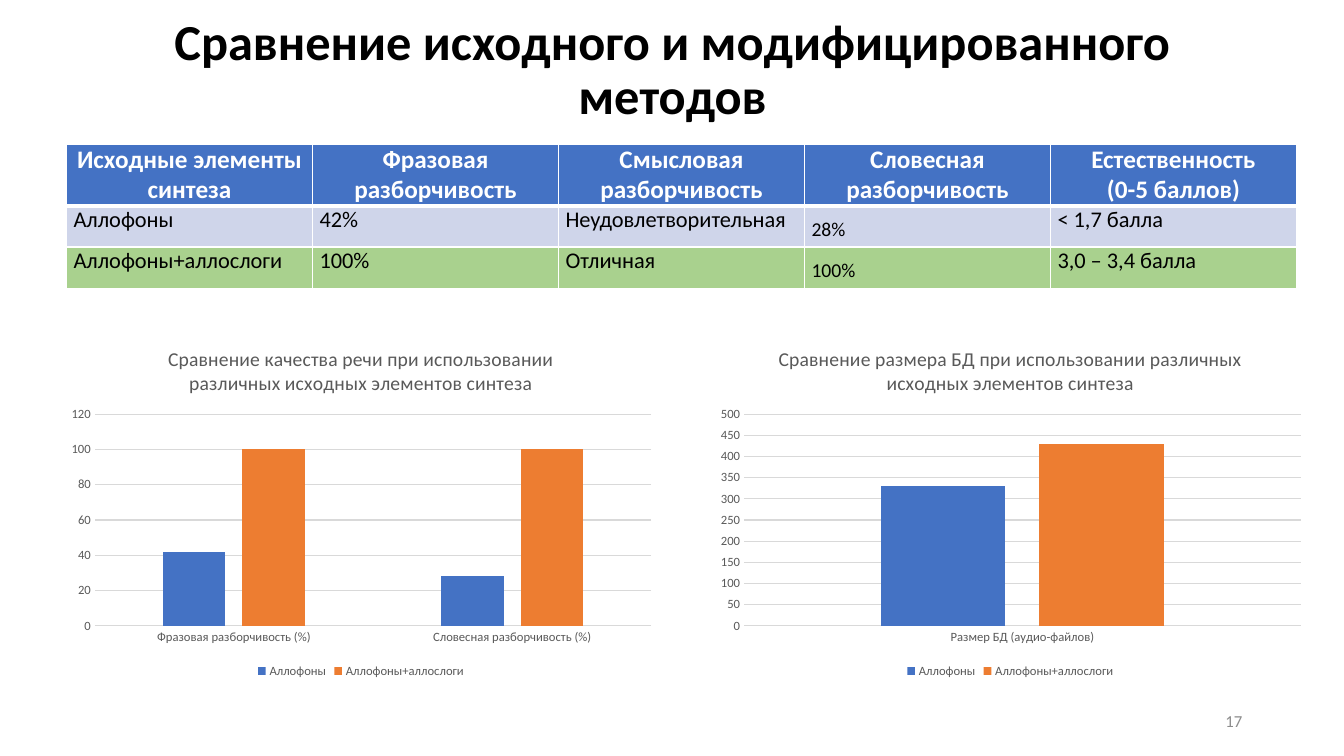
from lxml import etree
from pptx import Presentation, util as u
from pptx.chart.data import CategoryChartData
from pptx.dml.color import RGBColor
from pptx.enum import chart as charts, text
from pptx.oxml import ns

COLORS = {
    "black": "000000",
    "white": "FFFFFF",
    "blue": "4472C4",
    "orange": "ED7D31",
    "pale": "CFD5EA",
    "green": "A9D18E",
    "label": "595959",
    "number": "8C8C8C",
    "grid": "D9D9D9",
}
SERIES_COLORS = ["blue", "orange"]
PLOT_LAYOUT = {"x": 0.06, "y": 0.24, "w": 0.92, "h": 0.6}


def px(length):
    return u.Emu(length * 9144)


def color(name):
    return RGBColor.from_string(COLORS[name])


class SlideBuilder:
    font_name = "Calibri"

    def __init__(self, presentation):
        self.slide = presentation.slides.add_slide(presentation.slide_layouts[5])

    def style(self, font, size, color_name, bold=False):
        font.name = self.font_name
        font.size = u.Pt(size)
        font.bold = bold
        font.color.rgb = color(color_name)

    def line(self, line, color_name):
        line.color.rgb = color(color_name)
        line.width = u.Pt(0.75)

    def place(self, shape, left, top, width, height):
        shape.left, shape.top = px(left), px(top)
        shape.width, shape.height = px(width), px(height)

    def fill_text(self, shape, content, size, color_name, align, bold=False):
        frame = shape.text_frame
        frame.word_wrap = True
        frame.auto_size = text.MSO_AUTO_SIZE.NONE
        frame.vertical_anchor = text.MSO_ANCHOR.MIDDLE
        frame.text = content
        paragraph = frame.paragraphs[0]
        paragraph.alignment = align
        self.style(paragraph.font, size, color_name, bold)
        return paragraph

    def title(self, content, *box):
        shape = self.slide.shapes.title
        self.place(shape, *box)
        paragraph = self.fill_text(shape, content, 36, "black", text.PP_ALIGN.CENTER, True)
        paragraph.line_spacing = 0.9

    def page_number(self, content, *box):
        shape = self.slide.shapes.add_textbox(*map(px, box))
        self.fill_text(shape, content, 12, "number", text.PP_ALIGN.RIGHT)

    def borders(self, cell, bottom):
        properties = cell._tc.get_or_add_tcPr()
        for side, points in (("L", 1), ("R", 1), ("T", 1), ("B", bottom)):
            border = etree.SubElement(properties, ns.qn(f"a:ln{side}"), w=str(u.Pt(points)))
            fill = etree.SubElement(border, ns.qn("a:solidFill"))
            etree.SubElement(fill, ns.qn("a:srgbClr"), val=COLORS["white"])

    def cell(self, cell, content, fill, header, spacious):
        cell.margin_left = cell.margin_right = px(7)
        cell.margin_top = cell.margin_bottom = 0
        self.borders(cell, 3 if header else 1)
        cell.fill.solid()
        cell.fill.fore_color.rgb = color(fill)
        cell.text = content
        for paragraph in cell.text_frame.paragraphs:
            if header:
                paragraph.alignment = text.PP_ALIGN.CENTER
                self.style(paragraph.font, 18, "white", True)
            else:
                paragraph.alignment = text.PP_ALIGN.JUSTIFY
                self.style(paragraph.font, 14 if spacious else 16, "black")
                if spacious:
                    paragraph.line_spacing = 1.5

    def table(self, rows, fills, heights, left, top, column_width):
        columns = len(rows[0])
        table = self.slide.shapes.add_table(
            len(rows), columns, px(left), px(top),
            px(column_width * columns), px(sum(heights))).table
        for column in table.columns:
            column.width = px(column_width)
        for i, (row, fill, height) in enumerate(zip(rows, fills, heights)):
            table.rows[i].height = px(height)
            for j, content in enumerate(row):
                self.cell(table.cell(i, j), content, fill, i == 0, j == 3)

    def plot_layout(self, chart):
        area = chart._chartSpace.chart.plotArea
        for old in area.findall(ns.qn("c:layout")):
            area.remove(old)
        layout = etree.Element(ns.qn("c:layout"))
        area.insert(0, layout)
        manual = etree.SubElement(layout, ns.qn("c:manualLayout"))
        settings = {"layoutTarget": "inner", "xMode": "edge", "yMode": "edge", **PLOT_LAYOUT}
        for name, value in settings.items():
            etree.SubElement(manual, ns.qn(f"c:{name}"), val=str(value))

    def chart(self, title, categories, series, maximum, step, *box):
        data = CategoryChartData()
        data.categories = categories
        for name, values in series.items():
            data.add_series(name, values)
        chart = self.slide.shapes.add_chart(
            charts.XL_CHART_TYPE.COLUMN_CLUSTERED, *map(px, box), data).chart
        self.style(chart.font, 10, "black")

        chart.has_title = True
        frame = chart.chart_title.text_frame
        frame.text = title
        self.style(frame.paragraphs[0].font, 14, "label")
        chart.chart_title.include_in_layout = False

        chart.has_legend = True
        chart.legend.position = charts.XL_LEGEND_POSITION.BOTTOM
        chart.legend.include_in_layout = False
        self.style(chart.legend.font, 9, "label")

        for axis in (chart.category_axis, chart.value_axis):
            axis.major_tick_mark = axis.minor_tick_mark = charts.XL_TICK_MARK.NONE
            self.style(axis.tick_labels.font, 9, "label")
        self.line(chart.category_axis.format.line, "grid")
        values_axis = chart.value_axis
        values_axis.minimum_scale, values_axis.maximum_scale = 0, maximum
        values_axis.major_unit = step
        values_axis.format.line.fill.background()
        self.line(values_axis.major_gridlines.format.line, "grid")

        plot = chart.plots[0]
        plot.vary_by_categories = False
        plot.gap_width, plot.overlap = 219, -27
        for bars, fill in zip(plot.series, SERIES_COLORS):
            bars.format.fill.solid()
            bars.format.fill.fore_color.rgb = color(fill)
        self.plot_layout(chart)


def main():
    presentation = Presentation()
    presentation.slide_width, presentation.slide_height = px(1333), px(750)
    builder = SlideBuilder(presentation)
    builder.title("Сравнение исходного и модифицированного методов", 92, 40, 1150, 61)
    builder.table(
        [
            ["Исходные элементы синтеза", "Фразовая разборчивость", "Смысловая разборчивость",
             "Словесная разборчивость", "Естественность\n(0-5 баллов)"],
            ["Аллофоны", "42%", "Неудовлетворительная", "28%", "< 1,7 балла"],
            ["Аллофоны+аллослоги", "100%", "Отличная", "100%", "3,0 – 3,4 балла"],
        ],
        ["blue", "pale", "green"], [60, 41, 41], 66, 143, 244)
    builder.page_number("17", 942, 695, 300, 40)
    builder.chart(
        "Сравнение качества речи при использовании различных исходных элементов синтеза",
        ["Фразовая разборчивость (%)", "Словесная разборчивость (%)"],
        {"Аллофоны": [42, 28], "Аллофоны+аллослоги": [100, 100]},
        120, 20, 58, 327, 600, 350)
    builder.chart(
        "Сравнение размера БД при использовании различных исходных элементов синтеза",
        ["Размер БД (аудио-файлов)"],
        {"Аллофоны": [330], "Аллофоны+аллослоги": [430]},
        500, 50, 702, 327, 600, 350)
    presentation.save("out.pptx")


if __name__ == "__main__":
    main()
